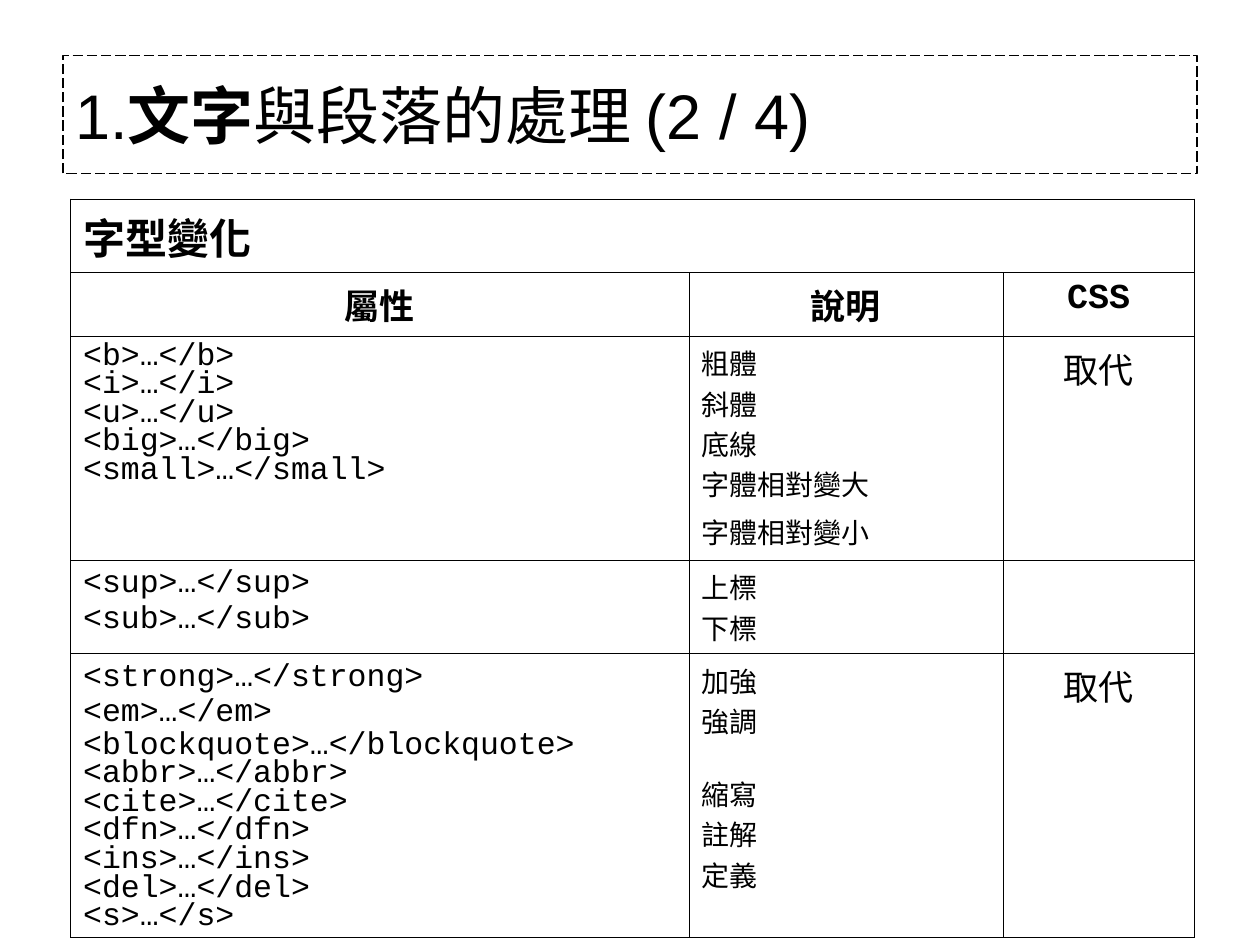
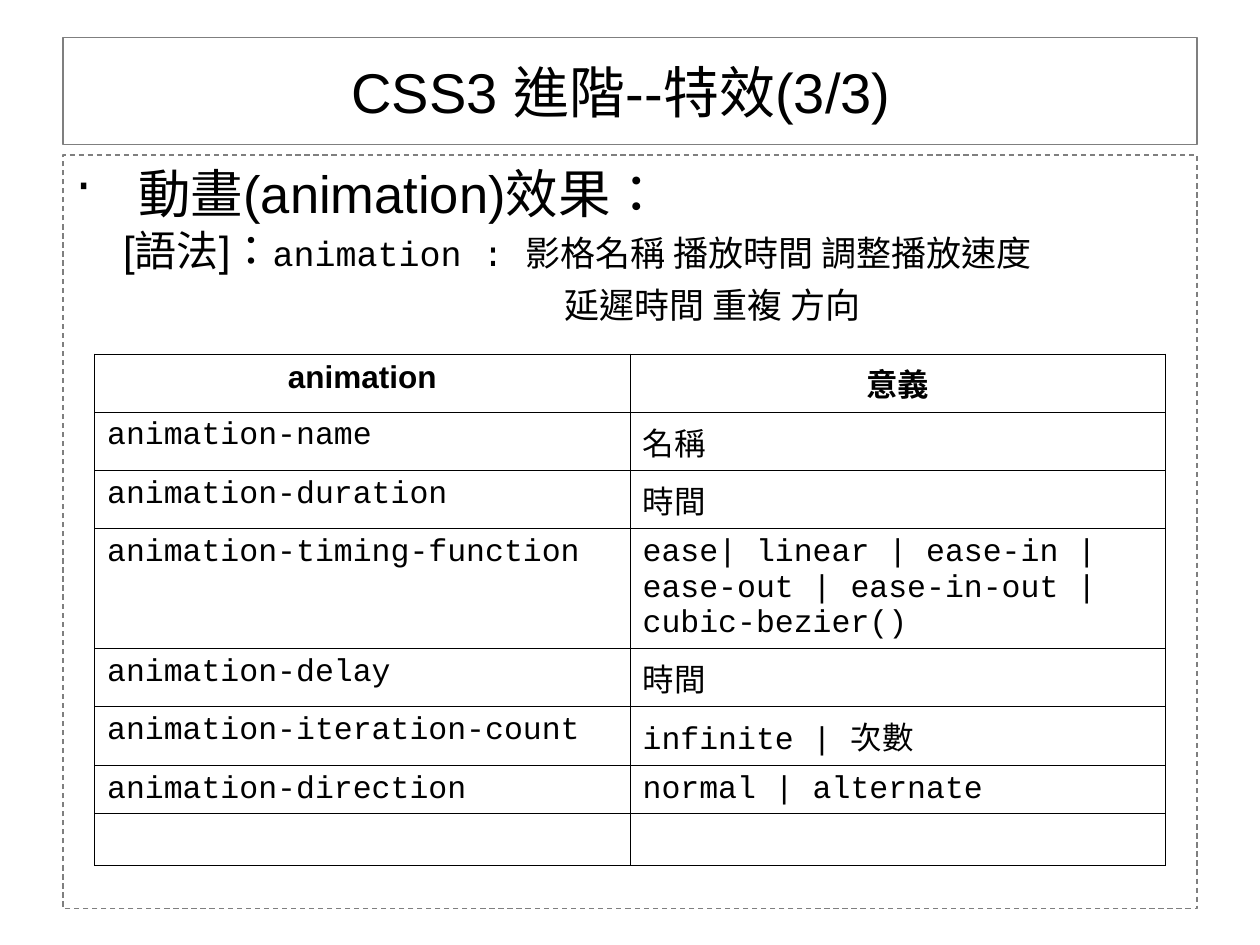
"""Build two web-design teaching slides: HTML text tags and CSS3 animation."""
import pptx
import pptx.dml.color
import pptx.enum.dml
import pptx.enum.lang
import pptx.enum.shapes
import pptx.enum.text
import pptx.oxml
import pptx.util
from lxml import etree

PX = 9144
COLORS = {"text": "000000", "grid": "000000", "frame": "7F7F7F"}
SANS, MONO = "Arial", "Courier New"
CENTER = pptx.enum.text.PP_ALIGN.CENTER
DASH = pptx.enum.dml.MSO_LINE
NS = "http://schemas.openxmlformats.org/drawingml/2006/main"


def write(tf, text, size=18, font=SANS, bold=False, align=None, spacing=None,
          before=None, margin=0, indent=0, bullet=None, new=True):
    """Add a formatted paragraph, or a further run of the last one."""
    p = tf.paragraphs[-1]
    if new:
        if p.runs:
            p = tf.add_paragraph()
        p.alignment = align
        if spacing:
            p.line_spacing = spacing
        if before:
            p.space_before = pptx.util.Pt(before)
        pPr = p._p.get_or_add_pPr()
        pPr.set("marL", str(margin * PX))
        pPr.set("indent", str(indent * PX))
        if bullet:
            etree.SubElement(pPr, f"{{{NS}}}buChar", char=bullet)
    for i, line in enumerate(text.split("\n")):
        if i:
            p.add_line_break()
        r = p.add_run()
        r.text = line
        r.font.size = pptx.util.Pt(size)
        r.font.name = font
        r.font.bold = bold
        r.font.language_id = pptx.enum.lang.MSO_LANGUAGE_ID.TRADITIONAL_CHINESE
        r.font.color.rgb = pptx.dml.color.RGBColor.from_string(COLORS["text"])


def add_grid(s, left, top, widths, heights):
    """Add a plain table with thin black rules."""
    table = s.shapes.add_table(len(heights), len(widths), left * PX, top * PX,
                               sum(widths) * PX, sum(heights) * PX).table
    table.first_row = table.horz_banding = False
    for column, width in zip(table.columns, widths):
        column.width = width * PX
    for row, height in zip(table.rows, heights):
        row.height = height * PX
    for cell in table.iter_cells():
        tcPr = cell._tc.get_or_add_tcPr()
        for side in ("lnL", "lnR", "lnT", "lnB"):
            tcPr.append(pptx.oxml.parse_xml(
                f'<a:{side} xmlns:a="{NS}" w="5715"><a:solidFill>'
                f'<a:srgbClr val="{COLORS["grid"]}"/></a:solidFill></a:{side}>'))
        cell.fill.background()
    return table


prs = pptx.Presentation()
prs.slide_width, prs.slide_height = 1000 * PX, 750 * PX
tags, animation = [prs.slides.add_slide(prs.slide_layouts[6]) for _ in range(2)]

frames = []
for s, top, height, color, dash, anchor in [
    (tags, 44, 94, "text", DASH.LONG_DASH, "MIDDLE"),
    (animation, 30, 85, "frame", DASH.SOLID, "MIDDLE"),
    (animation, 123, 598, "frame", DASH.DASH, "TOP"),
]:
    sp = s.shapes.add_shape(pptx.enum.shapes.MSO_SHAPE.RECTANGLE,
                            50 * PX, top * PX, 900 * PX, height * PX)
    sp.shadow.inherit = False
    sp.fill.background()
    sp.line.color.rgb = pptx.dml.color.RGBColor.from_string(COLORS[color])
    sp.line.width = pptx.util.Pt(0.75)
    sp.line.dash_style = dash
    tf = sp.text_frame
    tf.word_wrap = True
    tf.vertical_anchor = pptx.enum.text.MSO_ANCHOR[anchor]
    frames.append(tf)
tags_title, animation_title, body = frames

left = pptx.enum.text.PP_ALIGN.LEFT
write(tags_title, "1.", size=36, align=left)
write(tags_title, "文字", size=36, bold=True, new=False)
write(tags_title, "與段落的處理 (2 / 4)", size=36, new=False)

table = add_grid(tags, 56, 158, [491, 249, 152], [58, 50, 178, 74, 225])
table.cell(0, 0).merge(table.cell(0, 2))
write(table.cell(0, 0).text_frame, "字型變化", size=24, font=MONO, bold=True)
for col, heading in enumerate(["屬性", "說明", "CSS"]):
    write(table.cell(1, col).text_frame, heading, size=20, font=MONO,
          bold=True, align=CENTER)

tight = 0.8
groups = [
    ([(f"<{tag}>…</{tag}>", tight) for tag in ("b", "i", "u", "big", "small")],
     [("粗體", 0), ("斜體", 0), ("底線", 0), ("字體相對變大", 0), ("字體相對變小", 4.5)],
     "取代"),
    ([("<sup>…</sup>", None), ("<sub>…</sub>", None)],
     [("上標", 0), ("下標", 0)],
     None),
    ([("<strong>…</strong>\n<em>…</em>", None),
      ("<blockquote>…</blockquote>\n<abbr>…</abbr>\n<cite>…</cite>\n"
       "<dfn>…</dfn>\n<ins>…</ins>", tight),
      ("<del>…</del>\n<s>…</s>", tight)],
     [("加強", 0), ("強調", 0), ("縮寫", 18.5), ("註解", 0), ("定義", 0)],
     "取代"),
]
for row, (elements, meanings, css) in enumerate(groups, 2):
    for text, spacing in elements:
        write(table.cell(row, 0).text_frame, text, font=MONO, spacing=spacing)
    for text, before in meanings:
        write(table.cell(row, 1).text_frame, text, size=16, font=MONO, before=before)
    if css:
        write(table.cell(row, 2).text_frame, css, size=20, font=MONO, align=CENTER)

animation_title.margin_right = 24 * PX
write(animation_title, "CSS3 進階--特效(3/3)", size=32, align=CENTER)

write(body, "動畫(animation)效果：", size=30, align=left,
      margin=50, indent=-50, bullet="‧")
write(body, "[語法]", size=24, align=left, margin=38)
write(body, "：", size=24, font=MONO, new=False)
write(body, "animation : 影格名稱 ", size=20, font=MONO, new=False)
write(body, "播放時間 調整播放速度", size=20, new=False)
write(body, "延遲時間 重複 方向", size=20, align=left, before=5, margin=388)

table = add_grid(animation, 75, 281, [425, 425], [46, 46, 46, 95, 46, 46, 38, 38])
for col, heading in enumerate(["animation", "意義"]):
    write(table.cell(0, col).text_frame, heading, bold=True, align=CENTER)
for row, (name, meaning) in enumerate([
    ("name", "名稱"),
    ("duration", "時間"),
    ("timing-function",
     "ease| linear | ease-in | ease-out | ease-in-out | cubic-bezier()"),
    ("delay", "時間"),
    ("iteration-count", "infinite | 次數"),
    ("direction", "normal | alternate"),
], 1):
    write(table.cell(row, 0).text_frame, f"animation-{name}", font=MONO)
    write(table.cell(row, 1).text_frame, meaning,
          font=MONO if meaning.isascii() or "|" in meaning else SANS)

prs.save("out.pptx")
